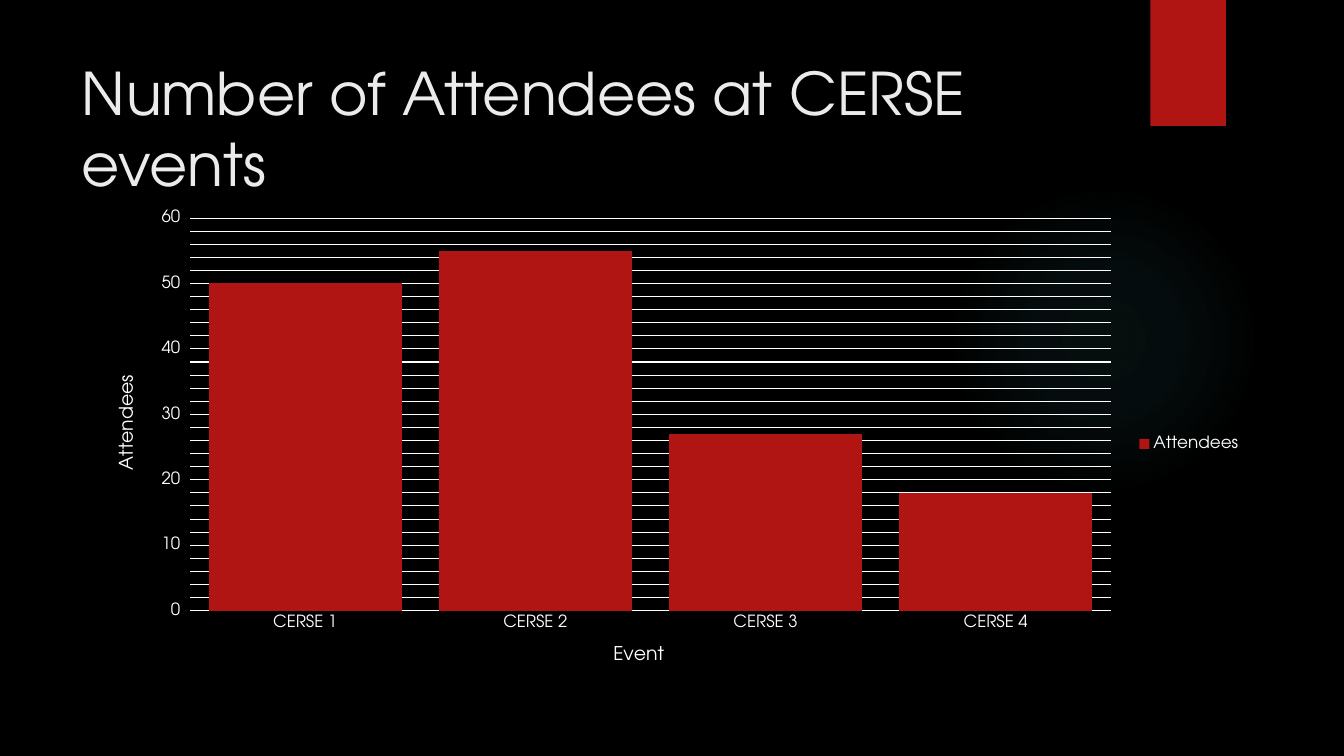
import copy

import pptx
import pptx.chart.data
import pptx.dml.color
import pptx.enum.chart
import pptx.enum.shapes
import pptx.enum.text
import pptx.oxml
import pptx.oxml.ns
import pptx.util

FONT = "TeX Gyre Adventor"
WIDTH, HEIGHT = 13.33, 7.5
RED, WHITE = "B01513", "FFFFFF"
ATTENDEES = {"CERSE 1": 50, "CERSE 2": 55, "CERSE 3": 27, "CERSE 4": 18}


def color(value):
    return pptx.dml.color.RGBColor.from_string(value)


def inches(*lengths):
    return [pptx.util.Inches(length) for length in lengths]


def apply(target, **values):
    for name, value in values.items():
        setattr(target, name, value)


def style_font(font, size, value=WHITE):
    apply(font, name=FONT, size=pptx.util.Pt(size), bold=False)
    font.color.rgb = color(value)


def paint(shape, value):
    shape.shadow.inherit = False
    shape.fill.solid()
    shape.fill.fore_color.rgb = color(value)
    shape.line.fill.background()


def add_glow(page, box):
    glow = page.shapes.add_shape(pptx.enum.shapes.MSO_SHAPE.OVAL, *inches(*box))
    paint(glow, "50B9C1")
    stops = "".join(
        f'<a:gs pos="{place * 1000}"><a:srgbClr val="50B9C1">'
        f'<a:alpha val="{alpha * 1000}"/></a:srgbClr></a:gs>'
        for place, alpha in ((0, 7), (36, 6), (69, 0), (100, 0))
    )
    gradient = pptx.oxml.parse_xml(
        f'<a:gradFill {pptx.oxml.ns.nsdecls("a")}><a:gsLst>{stops}</a:gsLst>'
        '<a:path path="circle"><a:fillToRect l="50000" t="50000" r="50000" b="50000"/>'
        '</a:path></a:gradFill>'
    )
    properties = glow._element.spPr
    properties.replace(properties.find(pptx.oxml.ns.qn("a:solidFill")), gradient)


def add_ribbon(page, box):
    ribbon = page.shapes.add_shape(pptx.enum.shapes.MSO_SHAPE.RECTANGLE, *inches(*box))
    paint(ribbon, RED)


def add_title(page, box, text):
    title = page.shapes.title
    left, top, width, height = inches(*box)
    apply(title, left=left, top=top, width=width, height=height)
    frame = title.text_frame
    apply(frame, text=text, word_wrap=True,
          auto_size=pptx.enum.text.MSO_AUTO_SIZE.NONE,
          vertical_anchor=pptx.enum.text.MSO_ANCHOR.MIDDLE)
    para = frame.paragraphs[0]
    apply(para, alignment=pptx.enum.text.PP_ALIGN.LEFT, line_spacing=1.0)
    style_font(para.runs[0].font, 42, "EBEBEB")


def place_part(element, index, **percents):
    for old in element.findall(pptx.oxml.ns.qn("c:layout")):
        element.remove(old)
    inner = '<c:layoutTarget val="inner"/>' if "w" in percents else ""
    modes = '<c:xMode val="edge"/><c:yMode val="edge"/>'
    values = "".join(f'<c:{name} val="{percent / 100}"/>'
                     for name, percent in percents.items())
    element.insert(index, pptx.oxml.parse_xml(
        f'<c:layout {pptx.oxml.ns.nsdecls("c")}><c:manualLayout>'
        f'{inner}{modes}{values}</c:manualLayout></c:layout>'
    ))


def style_axis(axis, title, tick, x, y):
    apply(axis, has_title=True, major_tick_mark=tick,
          minor_tick_mark=pptx.enum.chart.XL_TICK_MARK.NONE)
    axis.format.line.fill.background()
    style_font(axis.tick_labels.font, 12)
    frame = axis.axis_title.text_frame
    frame.text = title
    style_font(frame.paragraphs[0].runs[0].font, 13.5)
    place_part(axis.axis_title._element, 1, x=x, y=y)


def style_gridlines(axis):
    apply(axis, has_major_gridlines=True, has_minor_gridlines=True)
    line = axis.major_gridlines.format.line
    line.width = pptx.util.Pt(0.75)
    line.color.rgb = color(WHITE)
    major, minor = (axis._element.find(pptx.oxml.ns.qn(name))
                    for name in ("c:majorGridlines", "c:minorGridlines"))
    minor.append(copy.deepcopy(major.find(pptx.oxml.ns.qn("c:spPr"))))


def add_attendance_chart(page, box):
    data = pptx.chart.data.CategoryChartData()
    data.categories = list(ATTENDEES)
    data.add_series("Attendees", list(ATTENDEES.values()))
    kind = pptx.enum.chart.XL_CHART_TYPE.COLUMN_STACKED
    chart = page.shapes.add_chart(kind, *inches(*box), data).chart
    apply(chart, has_title=False, has_legend=True)
    style_font(chart.font, 10)
    apply(chart.legend, include_in_layout=False,
          position=pptx.enum.chart.XL_LEGEND_POSITION.RIGHT)
    style_font(chart.legend.font, 12)

    plot = chart.plots[0]
    apply(plot, gap_width=19, overlap=100, vary_by_categories=False)
    fill = plot.series[0].format.fill
    fill.solid()
    fill.fore_color.rgb = color(RED)

    ticks = pptx.enum.chart.XL_TICK_MARK
    style_axis(chart.category_axis, "Event", ticks.NONE, 44.6, 90.6)
    values = chart.value_axis
    style_axis(values, "Attendees", ticks.OUTSIDE, 1.8, 35)
    apply(values, minimum_scale=0, maximum_scale=60, major_unit=10, minor_unit=2)
    style_gridlines(values)
    place_part(chart._chartSpace.chart.plotArea, 0, x=8.4, y=3.4, w=79.4, h=81)


def add_attendance_slide(deck):
    page = deck.slides.add_slide(deck.slide_layouts[5])
    page.background.fill.solid()
    page.background.fill.fore_color.rgb = color("000000")
    add_glow(page, (9.41, 1.83, 3.08, 3.08))
    add_ribbon(page, (11.41, 0, 0.75, 1.25))
    add_title(page, (0.71, 0.5, 10.29, 1.53), "Number of Attendees at CERSE events")
    add_attendance_chart(page, (0.92, 2, 11.5, 4.81))


def main():
    deck = pptx.Presentation()
    deck.slide_width, deck.slide_height = inches(WIDTH, HEIGHT)
    add_attendance_slide(deck)
    deck.save("out.pptx")


if __name__ == "__main__":
    main()
